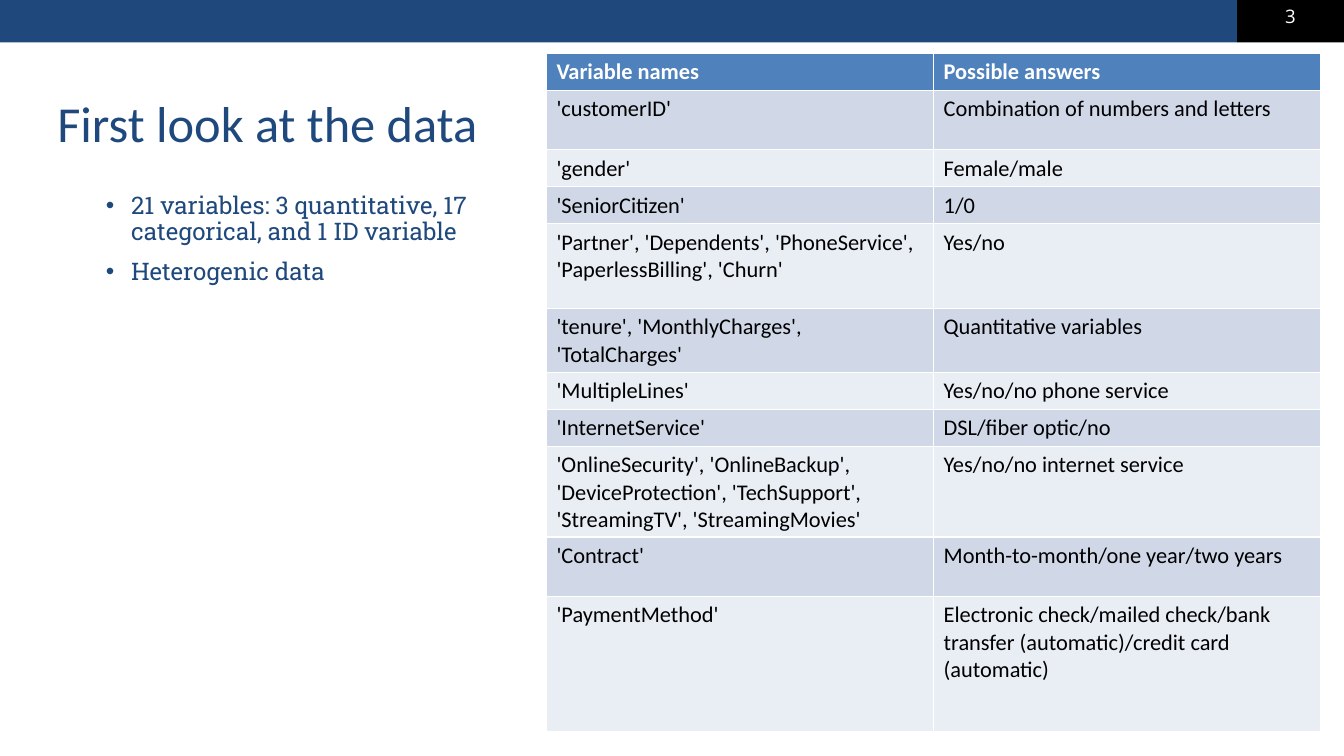
"""Build the "First look at the data" slide with its table of variables."""
from lxml import etree
from pptx import Presentation
from pptx.dml.color import RGBColor
from pptx.enum.shapes import MSO_SHAPE
from pptx.enum.text import MSO_ANCHOR, PP_ALIGN
from pptx.oxml.ns import qn
from pptx.util import Inches, Pt

NAVY, WHITE, BLACK = "1F497D", "FFFFFF", "000000"
HEADER_FILL = "4F81BD"
BAND_FILLS = ("E9EDF4", "D0D8E8")
TITLE = "First look at the data"
PAGE_NUMBER = "3"
BULLETS = [
    "21 variables: 3 quantitative, 17 categorical, and 1 ID variable",
    "Heterogenic data",
]
TABLE_ROWS = [
    (0.34, "Variable names", "Possible answers"),
    (0.59, "'customerID'", "Combination of numbers and letters"),
    (0.34, "'gender'", "Female/male"),
    (0.34, "'SeniorCitizen'", "1/0"),
    (0.84, "'Partner', 'Dependents', 'PhoneService', 'PaperlessBilling', 'Churn'", "Yes/no"),
    (0.59, "'tenure', 'MonthlyCharges', 'TotalCharges'", "Quantitative variables"),
    (0.34, "'MultipleLines'", "Yes/no/no phone service"),
    (0.34, "'InternetService'", "DSL/fiber optic/no"),
    (0.84, "'OnlineSecurity', 'OnlineBackup', 'DeviceProtection', 'TechSupport', "
           "'StreamingTV', 'StreamingMovies'", "Yes/no/no internet service"),
    (0.59, "'Contract'", "Month-to-month/one year/two years"),
    (1.34, "'PaymentMethod'",
     "Electronic check/mailed check/bank transfer (automatic)/credit card (automatic)"),
]
BAR_HEIGHT, BAR_SPLIT, SLIDE_WIDTH = 0.42, 12.27, 13.33
COLUMN_WIDTH = 3.84


def paint(fill, color):
    fill.solid()
    fill.fore_color.rgb = RGBColor.from_string(color)


def style(paragraph, size, font_name, color, bold=False):
    for run in paragraph.runs:
        run.font.size = Pt(size)
        run.font.name = font_name
        run.font.bold = bold
        run.font.color.rgb = RGBColor.from_string(color)


def add_bar(slide, left, right, color):
    shape = slide.shapes.add_shape(
        MSO_SHAPE.RECTANGLE, Inches(left), 0, Inches(right - left), Inches(BAR_HEIGHT))
    shape.shadow.inherit = False
    paint(shape.fill, color)
    shape.line.fill.background()


def add_text(slide, box, text):
    text_frame = slide.shapes.add_textbox(*map(Inches, box)).text_frame
    text_frame.word_wrap = True
    text_frame.text = text
    return text_frame


def add_bullets(slide):
    text_frame = add_text(slide, (1.05, 1.92, 4.04, 0.93), "\n".join(BULLETS))
    text_frame.margin_left = text_frame.margin_right = 0
    text_frame.margin_top = text_frame.margin_bottom = 0
    for paragraph in text_frame.paragraphs:
        paragraph.line_spacing = 0.9
        paragraph.space_before = Pt(10)
        style(paragraph, 17.3, "Roboto Slab", NAVY)
        properties = paragraph._p.get_or_add_pPr()
        properties.set("marL", str(Inches(0.25)))
        properties.set("indent", str(-Inches(0.25)))
        bullet_color = etree.SubElement(properties, qn("a:buClr"))
        etree.SubElement(bullet_color, qn("a:srgbClr"), val=NAVY)
        etree.SubElement(properties, qn("a:buFont"), typeface="Arial")
        etree.SubElement(properties, qn("a:buChar"), char="•")


def add_variable_table(slide):
    height = sum(row[0] for row in TABLE_ROWS)
    table = slide.shapes.add_table(
        len(TABLE_ROWS), 2, Inches(5.42), Inches(0.53),
        Inches(2 * COLUMN_WIDTH), Inches(height)).table
    for column in table.columns:
        column.width = Inches(COLUMN_WIDTH)
    for index, (row_height, *texts) in enumerate(TABLE_ROWS):
        table.rows[index].height = Inches(row_height)
        is_header = index == 0
        for column_index, text in enumerate(texts):
            cell = table.cell(index, column_index)
            cell.text = text
            paint(cell.fill, HEADER_FILL if is_header else BAND_FILLS[index % 2])
            style(cell.text_frame.paragraphs[0], 16, "Calibri",
                  WHITE if is_header else BLACK, is_header)


def main():
    presentation = Presentation()
    presentation.slide_width = Inches(SLIDE_WIDTH)
    presentation.slide_height = Inches(7.5)
    slide = presentation.slides.add_slide(presentation.slide_layouts[6])

    add_bar(slide, 0, BAR_SPLIT, NAVY)
    add_bar(slide, BAR_SPLIT, SLIDE_WIDTH, BLACK)
    number = add_text(slide, (BAR_SPLIT, 0, 1.06, 0.33), PAGE_NUMBER).paragraphs[0]
    number.alignment = PP_ALIGN.CENTER
    style(number, 13.3, "Open Sans", WHITE)

    title_frame = add_text(slide, (0.47, 0.85, 11.06, 0.68), TITLE)
    title_frame.vertical_anchor = MSO_ANCHOR.MIDDLE
    title_frame.paragraphs[0].line_spacing = Pt(46.7)
    style(title_frame.paragraphs[0], 36, "Calibri", NAVY)

    add_variable_table(slide)
    add_bullets(slide)
    presentation.save("out.pptx")


if __name__ == "__main__":
    main()
